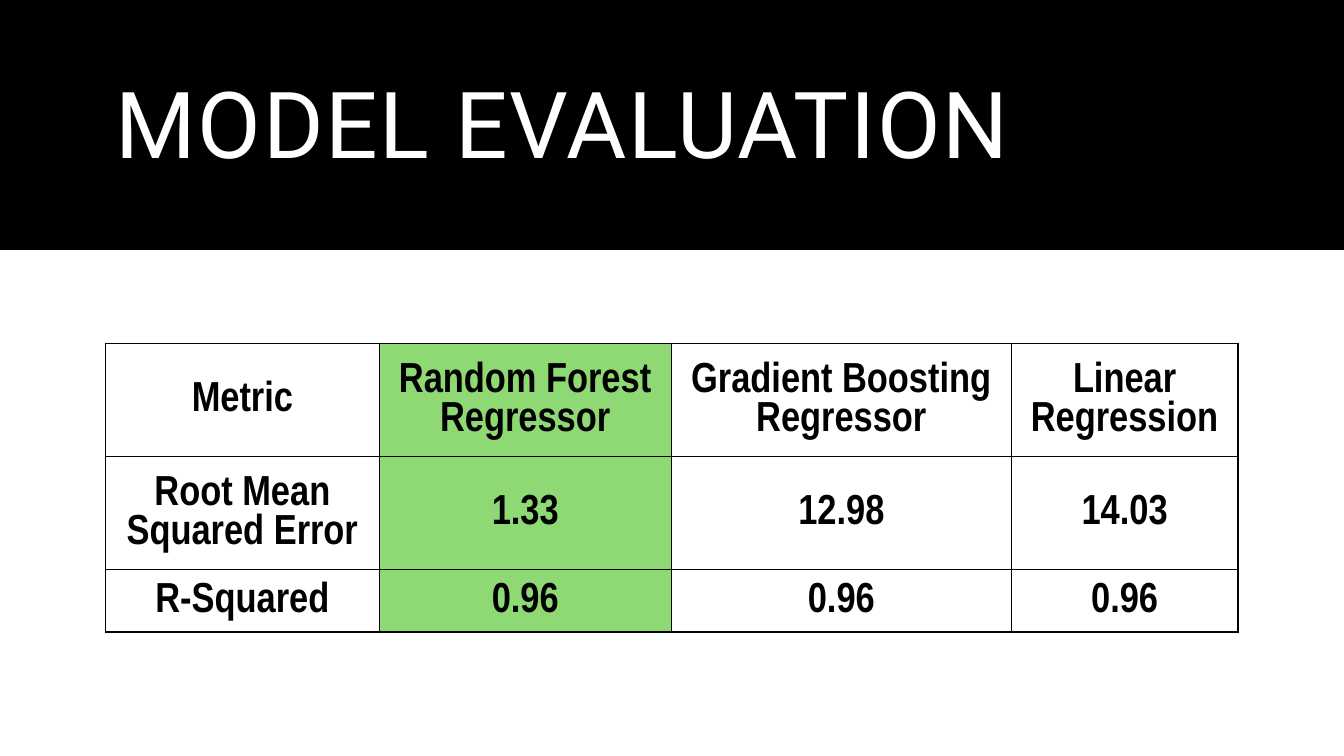
import pptx
import pptx.util
import pptx.dml.color
import pptx.enum.shapes
import pptx.enum.text
import pptx.oxml
import pptx.oxml.ns

PX = 9144  # one px is a hundredth of an inch
THEME = {
    "black": "000000", "white": "FFFFFF", "best": "8ED973",
    "head": "Roboto", "body": "Arial Narrow",
    "title": 66, "cell": 30, "thin": 0.5, "edge": 1,
}
ALIGN = pptx.enum.text.PP_ALIGN
MIDDLE = pptx.enum.text.MSO_ANCHOR.MIDDLE


def rgb(name):
    return pptx.dml.color.RGBColor.from_string(THEME[name])


def write(frame, text, font, size, color, bold=False, align=ALIGN.LEFT,
          lines=None, track=None):
    frame.word_wrap = True
    para = frame.paragraphs[0]
    para.alignment = align
    if lines:
        para.line_spacing = lines
    run = para.add_run()
    run.text = text
    run.font.name = THEME[font]
    run.font.size = pptx.util.Pt(THEME[size])
    run.font.bold = bold
    run.font.color.rgb = rgb(color)
    if track:
        run.font._element.set("spc", str(track))


deck = pptx.Presentation()
deck.slide_width, deck.slide_height = 1333 * PX, 750 * PX
slide = deck.slides.add_slide(deck.slide_layouts[6])

# Backdrop and title band
for high, color in ((750, "white"), (248, "black")):
    rect = slide.shapes.add_shape(
        pptx.enum.shapes.MSO_SHAPE.RECTANGLE, 0, 0, 1333 * PX, high * PX)
    rect.shadow.inherit = False
    rect.fill.solid()
    rect.fill.fore_color.rgb = rgb(color)
    rect.line.fill.background()

# Title
box = slide.shapes.add_textbox(105 * PX, 35 * PX, 1123 * PX, 186 * PX)
box.text_frame.vertical_anchor = MIDDLE
write(box.text_frame, "MODEL EVALUATION", font="head", size="title",
      color="white", lines=0.9, track=120)

# Score table
scores = (
    ("Metric", "Random Forest Regressor", "Gradient Boosting Regressor",
     "Linear Regression"),
    ("Root Mean Squared Error", "1.33", "12.98", "14.03"),
    ("R-Squared", "0.96", "0.96", "0.96"),
)
wide = (271, 290, 337, 225)
tall = (112, 112, 62)
best = 1
table = slide.shapes.add_table(
    len(tall), len(wide), 105 * PX, 341 * PX,
    sum(wide) * PX, sum(tall) * PX).table
table.first_row = table.horz_banding = False
for col, width in zip(table.columns, wide):
    col.width = width * PX
for row, height in zip(table.rows, tall):
    row.height = height * PX

for r, row in enumerate(scores):
    for c, text in enumerate(row):
        cell = table.cell(r, c)
        cell.vertical_anchor = MIDDLE
        cell.margin_left = cell.margin_right = cell.margin_top = 2 * PX
        cell.margin_bottom = 0
        write(cell.text_frame, text, font="body", size="cell",
              color="black", bold=True, align=ALIGN.CENTER)

        # Borders: heavier on the outside, set ahead of the fill
        props = cell._tc.get_or_add_tcPr()
        sides = {"lnL": c == 0, "lnR": c == len(wide) - 1,
                 "lnT": r == 0, "lnB": r == len(tall) - 1}
        for side, outer in sides.items():
            points = THEME["edge" if outer else "thin"]
            props.append(pptx.oxml.parse_xml(
                f'<a:{side} {pptx.oxml.ns.nsdecls("a")} '
                f'w="{pptx.util.Pt(points)}"><a:solidFill>'
                f'<a:srgbClr val="{THEME["black"]}"/>'
                f'</a:solidFill></a:{side}>'))
        if c == best:
            cell.fill.solid()
            cell.fill.fore_color.rgb = rgb("best")
        else:
            cell.fill.background()

deck.save("out.pptx")
